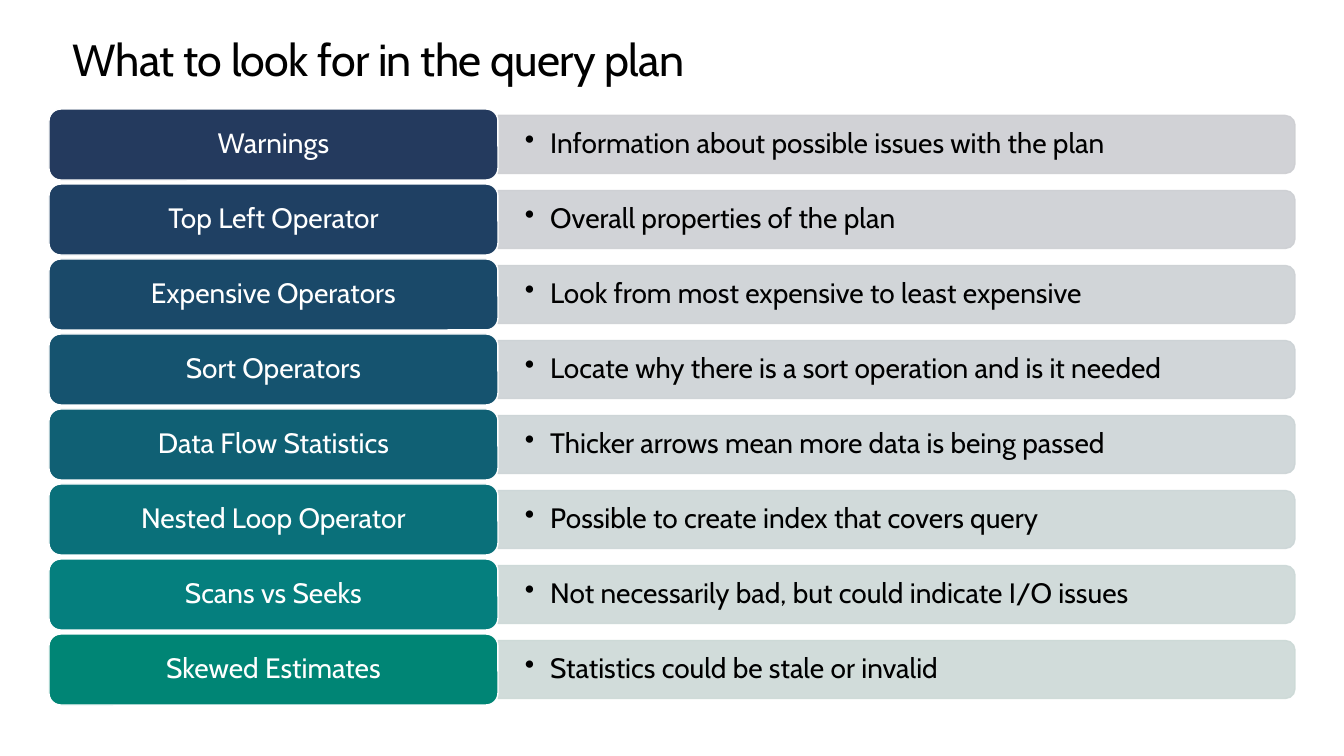
from lxml import etree
from pptx import Presentation
from pptx.dml.color import RGBColor
from pptx.enum.shapes import MSO_SHAPE
from pptx.enum.text import MSO_ANCHOR, MSO_AUTO_SIZE, PP_ALIGN
from pptx.oxml.ns import qn
from pptx.util import Pt

LABEL_SHAPE = MSO_SHAPE.ROUNDED_RECTANGLE
BAR_SHAPE = MSO_SHAPE.ROUND_2_SAME_RECTANGLE
TOP, MIDDLE = MSO_ANCHOR.TOP, MSO_ANCHOR.MIDDLE
LEFT, CENTER = PP_ALIGN.LEFT, PP_ALIGN.CENTER
NO_AUTOFIT = MSO_AUTO_SIZE.NONE

PX = 914400 / 100.8
FONT = "Cabin"
COLORS = {"white": "FFFFFF", "black": "000000"}

# label, advice, label colour, bar colour
ROWS = [
    ("Warnings", "Information about possible issues with the plan", "243A5E", "CDCED2"),
    ("Top Left Operator", "Overall properties of the plan", "1F4063", "CDCFD3"),
    ("Expensive Operators", "Look from most expensive to least expensive", "1A4969", "CDD1D4"),
    ("Sort Operators", "Locate why there is a sort operation and is it needed", "15536F", "CCD2D5"),
    ("Data Flow Statistics", "Thicker arrows mean more data is being passed", "106074", "CCD4D6"),
    ("Nested Loop Operator", "Possible to create index that covers query", "0A707A", "CCD6D7"),
    ("Scans vs Seeks", "Not necessarily bad, but could indicate I/O issues", "057F7E", "CCD8D7"),
    ("Skewed Estimates", "Statistics could be stale or invalid", "008575", "CCD9D6"),
]
ROW_TOP, ROW_PITCH = 109, 75
LABEL_X, LABEL_W, LABEL_H = 49, 449, 71
BAR_X, BAR_W, BAR_H = 498, 797, 58


def box(*lengths):
    """Turn px lengths into EMU."""
    return [round(n * PX) for n in lengths]


def write(tf, text, size, color, align, anchor, inset):
    """Write one run into a text frame; inset is the side margin in px."""
    tf.word_wrap = True
    tf.auto_size = NO_AUTOFIT
    tf.vertical_anchor = anchor
    tf.margin_left = tf.margin_right = round(inset * PX)
    tf.margin_top = tf.margin_bottom = 0
    p = tf.paragraphs[0]
    p.alignment = align
    p.line_spacing = 0.9
    r = p.add_run()
    r.text = text
    r.font.name = FONT
    r.font.size = Pt(size)
    r.font.color.rgb = RGBColor.from_string(COLORS[color])
    return p


prs = Presentation()
prs.slide_width, prs.slide_height = box(1344, 756)
s = prs.slides.add_slide(prs.slide_layouts[5])

title = s.shapes.title
title.left, title.top, title.width, title.height = box(73, 35, 1199, 50)
title.fill.solid()
title.fill.fore_color.rgb = RGBColor.from_string(COLORS["white"])
p = write(title.text_frame, "What to look for in the query plan", 32, "black", LEFT, TOP, 0)
p.line_spacing = Pt(36.2)
p.runs[0].font._element.set("spc", "-50")

for i, (label, advice, label_color, bar_color) in enumerate(ROWS):
    y = ROW_TOP + i * ROW_PITCH
    mid = y + LABEL_H / 2

    # The bar is a quarter turn of a tall shape whose top corners are round
    bar = s.shapes.add_shape(BAR_SHAPE, *box(
        BAR_X + (BAR_W - BAR_H) / 2, mid - BAR_W / 2, BAR_H, BAR_W))
    bar.rotation = 90
    bar.shadow.inherit = False
    bar.fill.solid()
    bar.line.width = Pt(1)
    for color in (bar.fill.fore_color, bar.line.color):
        color.rgb = RGBColor.from_string(bar_color)
    for clr in bar._element.spPr.iter(qn("a:srgbClr")):
        etree.SubElement(clr, qn("a:alpha"), val="90000")

    tb = s.shapes.add_textbox(*box(BAR_X, mid - BAR_H / 2, BAR_W, BAR_H))
    p = write(tb.text_frame, advice, 20, "black", LEFT, MIDDLE, 27)
    pPr = p._p.get_or_add_pPr()
    pPr.set("marL", "228600")
    pPr.set("indent", "-228600")
    etree.SubElement(pPr, qn("a:buChar"), char="•")

    sp = s.shapes.add_shape(LABEL_SHAPE, *box(LABEL_X, y, LABEL_W, LABEL_H))
    sp.shadow.inherit = False
    sp.fill.solid()
    sp.fill.fore_color.rgb = RGBColor.from_string(label_color)
    sp.line.color.rgb = RGBColor.from_string(COLORS["white"])
    sp.line.width = Pt(1)
    write(sp.text_frame, label, 20, "white", CENTER, MIDDLE, 8)

prs.save("out.pptx")
